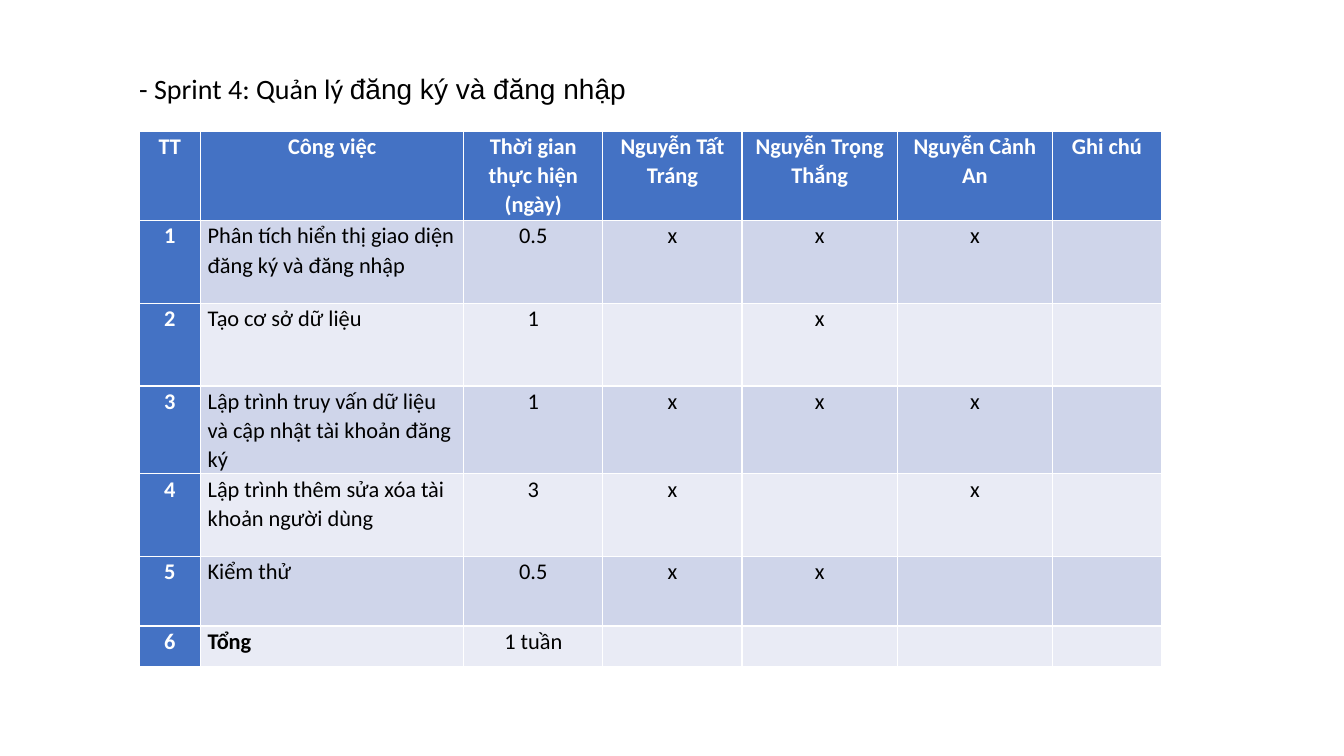
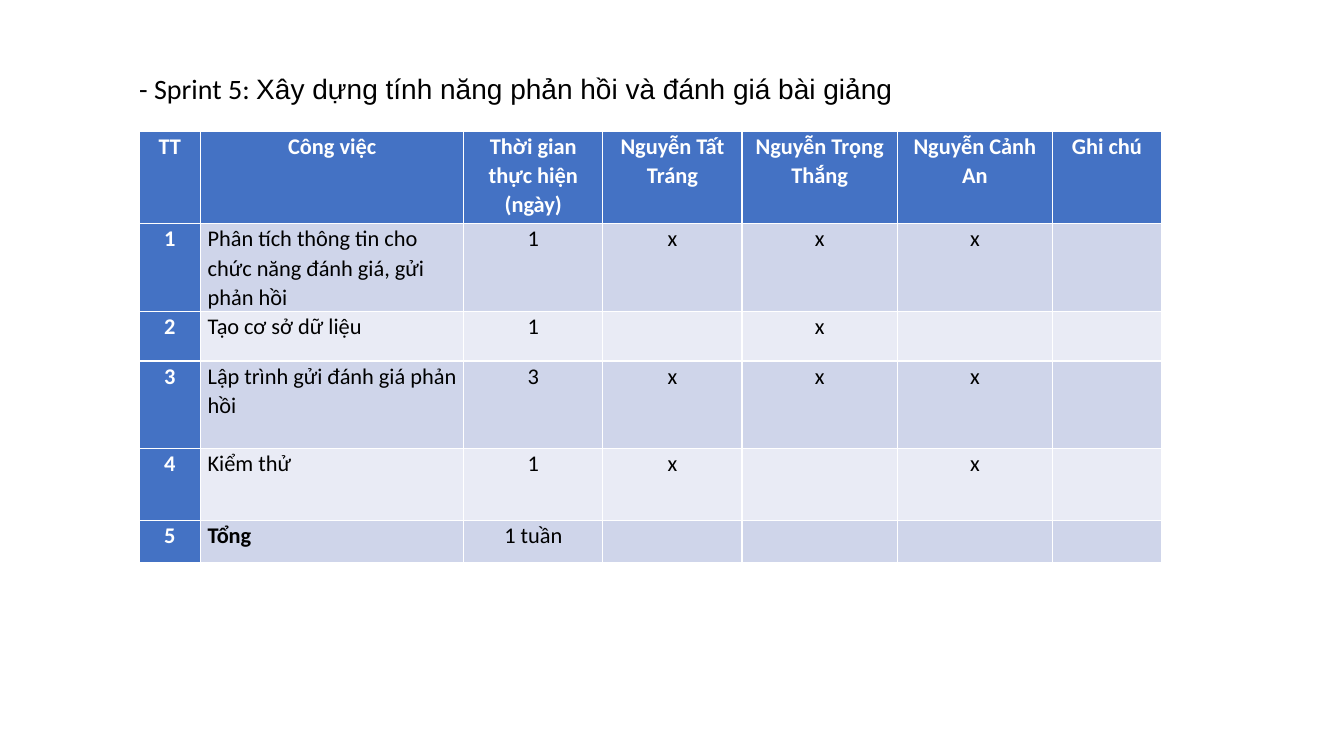
from pptx import Presentation
from pptx.dml.color import RGBColor
from pptx.enum import text as t
from pptx.util import Inches, Pt

WHITE = RGBColor(0xFF, 0xFF, 0xFF)
BLACK = RGBColor(0x00, 0x00, 0x00)
BLUE = RGBColor(0x44, 0x72, 0xC4)
BANDS = RGBColor(0xCF, 0xD5, 0xEA), RGBColor(0xE9, 0xEB, 0xF5)

BODY_FONT, TITLE_FONT = "Calibri", "Arial"
TITLE_ONLY = 5
TASK_COL = 1

HEADERS = ["TT", "Công việc", "Thời gian thực hiện (ngày)", "Nguyễn Tất Tráng",
           "Nguyễn Trọng Thắng", "Nguyễn Cảnh An", "Ghi chú"]
COL_WIDTHS = [0.61, 2.61, 1.38, 1.38, 1.54, 1.54, 1.08]

# Each task: name, duration, one mark per member
SPRINTS = [
    {
        "title": [("- Sprint 4: Quản lý ", BODY_FONT),
                  ("đăng ký và đăng nhập", TITLE_FONT)],
        "heights": [0.89, 0.82, 0.82, 0.82, 0.82, 0.69, 0.4],
        "tasks": [
            ("Phân tích hiển thị giao diện đăng ký và đăng nhập", "0.5", "x", "x", "x"),
            ("Tạo cơ sở dữ liệu", "1", "", "x", ""),
            ("Lập trình truy vấn dữ liệu và cập nhật tài khoản đăng ký", "1", "x", "x", "x"),
            ("Lập trình thêm sửa xóa tài khoản người dùng", "3", "x", "", "x"),
            ("Kiểm thử", "0.5", "x", "x", ""),
        ],
    },
    {
        "title": [("- Sprint 5: ", BODY_FONT),
                  ("Xây dựng tính năng phản hồi và đánh giá bài giảng", TITLE_FONT)],
        "heights": [0.92, 0.87, 0.49, 0.87, 0.71, 0.42],
        "tasks": [
            ("Phân tích thông tin cho chức năng đánh giá, gửi phản hồi", "1", "x", "x", "x"),
            ("Tạo cơ sở dữ liệu", "1", "", "x", ""),
            ("Lập trình gửi đánh giá phản hồi", "3", "x", "x", "x"),
            ("Kiểm thử", "1", "x", "", "x"),
        ],
    },
]
TOTAL = ("Tổng", "1 tuần", "", "", "")


def set_attrs(obj, values):
    for name, value in values.items():
        setattr(obj, name, value)


def add_run(p, text, font, size, color, bold=False):
    r = p.add_run()
    r.text = text
    set_attrs(r.font, {"name": font, "size": Pt(size), "bold": bold})
    r.font.color.rgb = color


def set_title(s, parts):
    sp = s.shapes.title
    set_attrs(sp, {"left": Inches(1.28), "top": Inches(0.46),
                   "width": Inches(11.28), "height": Inches(1.2)})
    tf = sp.text_frame
    set_attrs(tf, {"auto_size": t.MSO_AUTO_SIZE.NONE, "word_wrap": True,
                   "vertical_anchor": t.MSO_ANCHOR.MIDDLE,
                   "margin_bottom": Inches(0.38)})
    p = tf.paragraphs[0]
    set_attrs(p, {"alignment": t.PP_ALIGN.LEFT, "line_spacing": 0.9})
    for text, font in parts:
        add_run(p, text, font, 20, BLACK)


def fill_cell(cell, text, fill, color, bold, align):
    cell.fill.solid()
    cell.fill.fore_color.rgb = fill
    set_attrs(cell, {"margin_left": Inches(0.07), "margin_right": Inches(0.07),
                     "margin_top": 0, "margin_bottom": 0})
    if text:
        p = cell.text_frame.paragraphs[0]
        set_attrs(p, {"alignment": align, "line_spacing": 1.07, "space_after": Pt(8)})
        add_run(p, text, BODY_FONT, 16, color, bold)


def add_task_table(s, tasks, heights):
    numbered = [(str(i), *task, "") for i, task in enumerate([*tasks, TOTAL], 1)]
    rows = [HEADERS, *numbered]
    table = s.shapes.add_table(
        len(rows), len(HEADERS), Inches(1.38), Inches(1.3),
        Inches(sum(COL_WIDTHS)), Inches(sum(heights))).table
    table.first_col = True
    for col, width in zip(table.columns, COL_WIDTHS):
        col.width = Inches(width)
    for i, (values, height) in enumerate(zip(rows, heights)):
        table.rows[i].height = Inches(height)
        for j, text in enumerate(values):
            heading = i == 0 or j == 0
            is_task = i > 0 and j == TASK_COL
            fill_cell(
                table.cell(i, j), text,
                fill=BLUE if heading else BANDS[(i - 1) % 2],
                color=WHITE if heading else BLACK,
                bold=heading or text == TOTAL[0],
                align=t.PP_ALIGN.LEFT if is_task else t.PP_ALIGN.CENTER)


def main():
    prs = Presentation()
    set_attrs(prs, {"slide_width": Inches(13.33), "slide_height": Inches(7.5)})
    for sprint in SPRINTS:
        s = prs.slides.add_slide(prs.slide_layouts[TITLE_ONLY])
        set_title(s, sprint["title"])
        add_task_table(s, sprint["tasks"], sprint["heights"])
    prs.save("out.pptx")


if __name__ == "__main__":
    main()
